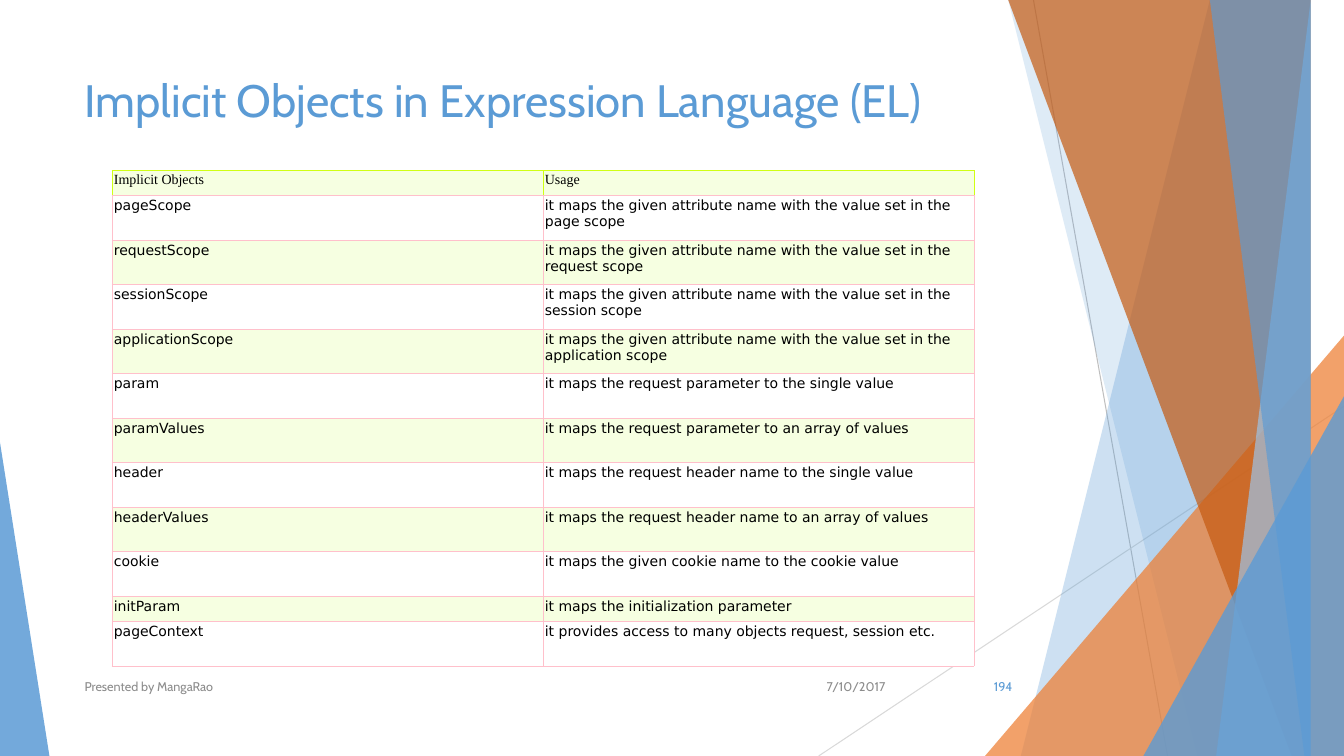
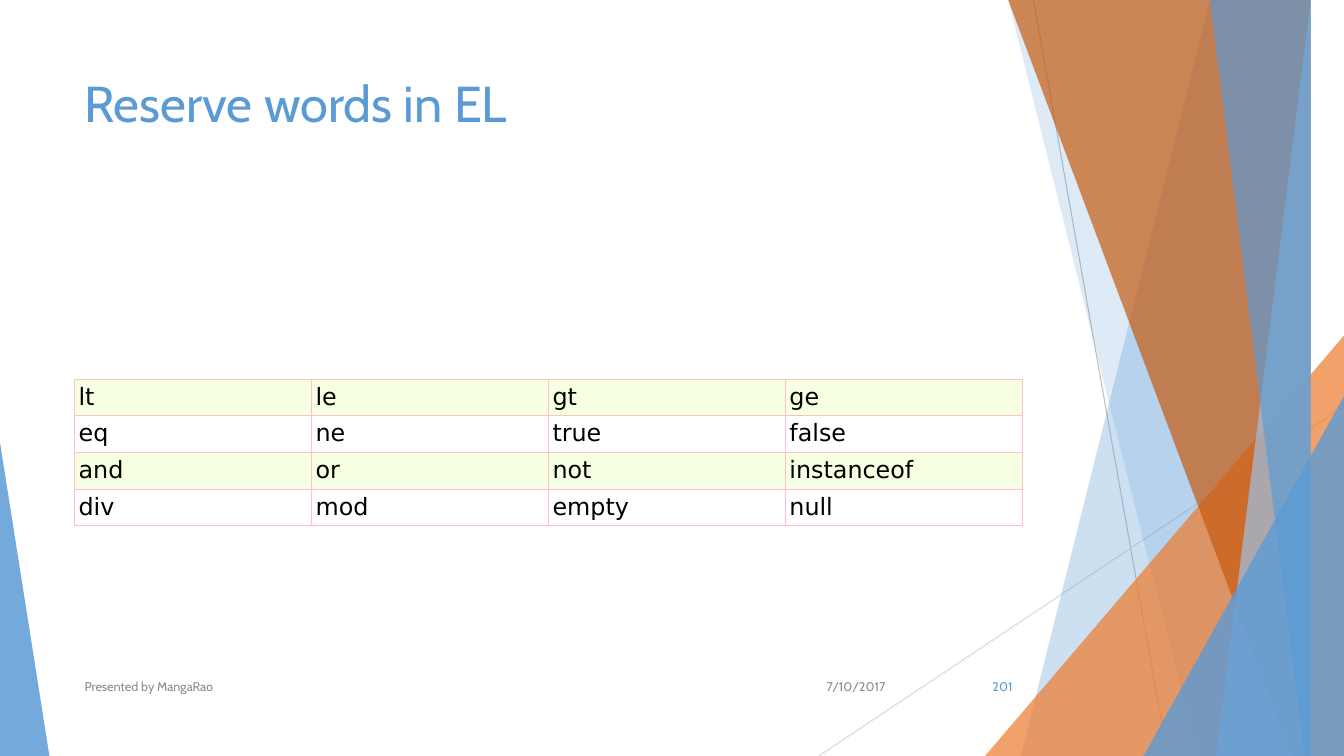
from lxml.etree import SubElement
from pptx import Presentation
from pptx.dml.color import RGBColor
from pptx.enum.shapes import MSO_CONNECTOR, MSO_SHAPE
from pptx.enum.text import MSO_ANCHOR, PP_ALIGN
from pptx.oxml.ns import qn
from pptx.util import Inches, Pt

WIDTH, HEIGHT = 13.33, 7.5
MARGIN, CONTENT_WIDTH = 0.74, 9.4

BLUE = RGBColor(0x5B, 0x9B, 0xD5)
LIGHT_BLUE = RGBColor(0x9D, 0xC3, 0xE6)
ORANGE = RGBColor(0xED, 0x7D, 0x31)
DARK_ORANGE = RGBColor(0xC5, 0x5A, 0x11)
GRAY = RGBColor(0x8C, 0x8C, 0x8C)
LINE_GRAY = RGBColor(0xBF, 0xBF, 0xBF)
PALE_GRAY = RGBColor(0xD9, 0xD9, 0xD9)
BLACK = RGBColor(0, 0, 0)
WHITE = RGBColor(0xFF, 0xFF, 0xFF)
PALE_GREEN = RGBColor(0xF6, 0xFF, 0xE1)
LIME = RGBColor(0xD0, 0xFF, 0x14)
PINK = RGBColor(0xFF, 0xC0, 0xCB)

TEXT_FONT, TABLE_FONT, HEADER_FONT = "Cabin", "DejaVu Sans", "Times New Roman"

# Start x, start y, end x, end y, colour
THIN_LINES = [
    (10.25, 0, 11.58, HEIGHT, LINE_GRAY),
    (WIDTH, 4.03, 8.12, HEIGHT, PALE_GRAY),
]
# Bands fill from a slanted left edge (top x, bottom x) to the slide's right edge.
# Wedges stand on the slide's bottom edge: left, top, right, apex share.
DECORATIONS = [
    ("band", (12.28, 10.04), BLUE, 30),
    ("band", (10.5, 11.83), BLUE, 20),
    ("wedge", (9.77, 3.33, WIDTH, 1), ORANGE, 72),
    ("band", (10.21, 12.91), DARK_ORANGE, 70),
    ("band", (13.03, 11.92), LIGHT_BLUE, 70),
    ("band", (11.96, 13.18), BLUE, 65),
    ("wedge", (11.34, 3.93, WIDTH, 1), BLUE, 80),
    ("wedge", (0, 4.39, 0.49, 0), BLUE, 85),
]

IMPLICIT_OBJECTS = [
    ("Implicit Objects", "Usage"),
    ("pageScope", "it maps the given attribute name with the value set in the page scope"),
    ("requestScope", "it maps the given attribute name with the value set in the request scope"),
    ("sessionScope", "it maps the given attribute name with the value set in the session scope"),
    ("applicationScope", "it maps the given attribute name with the value set in the application scope"),
    ("param", "it maps the request parameter to the single value"),
    ("paramValues", "it maps the request parameter to an array of values"),
    ("header", "it maps the request header name to the single value"),
    ("headerValues", "it maps the request header name to an array of values"),
    ("cookie", "it maps the given cookie name to the cookie value"),
    ("initParam", "it maps the initialization parameter"),
    ("pageContext", "it provides access to many objects request, session etc."),
]
RESERVED_WORDS = [
    ("lt", "le", "gt", "ge"),
    ("eq", "ne", "true", "false"),
    ("and", "or", "not", "instanceof"),
    ("div", "mod", "empty", "null"),
]
SLIDES = [
    {"title": "Implicit Objects in Expression Language (EL)", "title_size": 32.4,
     "number": "194", "rows": IMPLICIT_OBJECTS, "box": (1.11, 1.69, 8.55, 4.92),
     "short_rows": (0, 10), "size": 10, "inset": 0.02, "has_header": True},
    {"title": "Reserve words in EL", "title_size": 36,
     "number": "201", "rows": RESERVED_WORDS, "box": (MARGIN, 3.76, CONTENT_WIDTH, 1.45),
     "short_rows": (), "size": 17, "inset": 0.04, "has_header": False},
]
SHORT_ROW = 0.25
FOOTER_TOP, FOOTER_HEIGHT = 6.61, 0.4


def add_run(paragraph, text, size, font, color):
    run = paragraph.add_run()
    run.text = text
    run.font.size = Pt(size)
    run.font.name = font
    run.font.color.rgb = color


def add_text(slide, box, text, size, color, align=PP_ALIGN.LEFT, anchor=MSO_ANCHOR.MIDDLE):
    frame = slide.shapes.add_textbox(*map(Inches, box)).text_frame
    frame.word_wrap = True
    frame.vertical_anchor = anchor
    paragraph = frame.paragraphs[0]
    paragraph.alignment = align
    add_run(paragraph, text, size, TEXT_FONT, color)


def add_band(slide, top_x, bottom_x):
    top = -0.01
    builder = slide.shapes.build_freeform(top_x, top, scale=Inches(1))
    builder.add_line_segments([(WIDTH, top), (WIDTH, HEIGHT), (bottom_x, HEIGHT)], close=True)
    return builder.convert_to_shape()


def add_wedge(slide, left, top, right, apex):
    box = (left, top, right - left, HEIGHT - top)
    shape = slide.shapes.add_shape(MSO_SHAPE.ISOSCELES_TRIANGLE, *map(Inches, box))
    shape.adjustments[0] = apex
    return shape


def add_decorations(slide):
    for *ends, color in THIN_LINES:
        line = slide.shapes.add_connector(MSO_CONNECTOR.STRAIGHT, *map(Inches, ends))
        line.line.color.rgb = color
        line.line.width = Pt(0.75)
        SubElement(line._element.spPr, qn("a:effectLst"))
    builders = {"band": add_band, "wedge": add_wedge}
    for kind, geometry, color, opacity in DECORATIONS:
        shape = builders[kind](slide, *geometry)
        shape.shadow.inherit = False
        shape.line.fill.background()
        shape.fill.solid()
        shape.fill.fore_color.rgb = color
        color_element = shape._element.spPr.find(qn("a:solidFill"))[0]
        SubElement(color_element, qn("a:alpha"), val=str(opacity * 1000))


def set_borders(cell, side_color, bottom_color):
    properties = cell._tc.get_or_add_tcPr()
    for side in "LRTB":
        border = SubElement(properties, qn(f"a:ln{side}"), w=str(Pt(0.6)))
        fill = SubElement(border, qn("a:solidFill"))
        color = bottom_color if side == "B" else side_color
        SubElement(fill, qn("a:srgbClr"), val=str(color))


def add_table(slide, content):
    rows, short_rows = content["rows"], content["short_rows"]
    left, top, width, height = content["box"]
    columns = len(rows[0])
    table = slide.shapes.add_table(
        len(rows), columns, *map(Inches, content["box"])).table
    table.first_row = table.horz_banding = False
    for column in table.columns:
        column.width = Inches(width / columns)
    tall_row = (height - SHORT_ROW * len(short_rows)) / (len(rows) - len(short_rows))
    for row_index, texts in enumerate(rows):
        table.rows[row_index].height = Inches(SHORT_ROW if row_index in short_rows else tall_row)
        is_header = content["has_header"] and row_index == 0
        for column_index, text in enumerate(texts):
            cell = table.cell(row_index, column_index)
            set_borders(cell, LIME if is_header else PINK, PINK)
            cell.fill.solid()
            cell.fill.fore_color.rgb = WHITE if row_index % 2 else PALE_GREEN
            cell.margin_left = cell.margin_right = Inches(content["inset"])
            cell.margin_top = cell.margin_bottom = Inches(content["inset"])
            add_run(cell.text_frame.paragraphs[0], text, content["size"],
                    HEADER_FONT if is_header else TABLE_FONT, BLACK)


def add_footer(slide, number):
    for left, width, text, color, align in [
        (7.88, 1, "7/10/2017", GRAY, PP_ALIGN.RIGHT),
        (MARGIN, 6.89, "Presented by MangaRao", GRAY, PP_ALIGN.LEFT),
        (9.39, 0.75, number, BLUE, PP_ALIGN.RIGHT),
    ]:
        add_text(slide, (left, FOOTER_TOP, width, FOOTER_HEIGHT), text, 9, color, align)


def main():
    presentation = Presentation()
    presentation.slide_width, presentation.slide_height = Inches(WIDTH), Inches(HEIGHT)
    for content in SLIDES:
        slide = presentation.slides.add_slide(presentation.slide_layouts[6])
        add_decorations(slide)
        add_text(slide, (MARGIN, 0.67, CONTENT_WIDTH, 1.44), content["title"],
                 content["title_size"], BLUE, anchor=MSO_ANCHOR.TOP)
        add_table(slide, content)
        add_footer(slide, content["number"])
    presentation.save("out.pptx")


if __name__ == "__main__":
    main()
